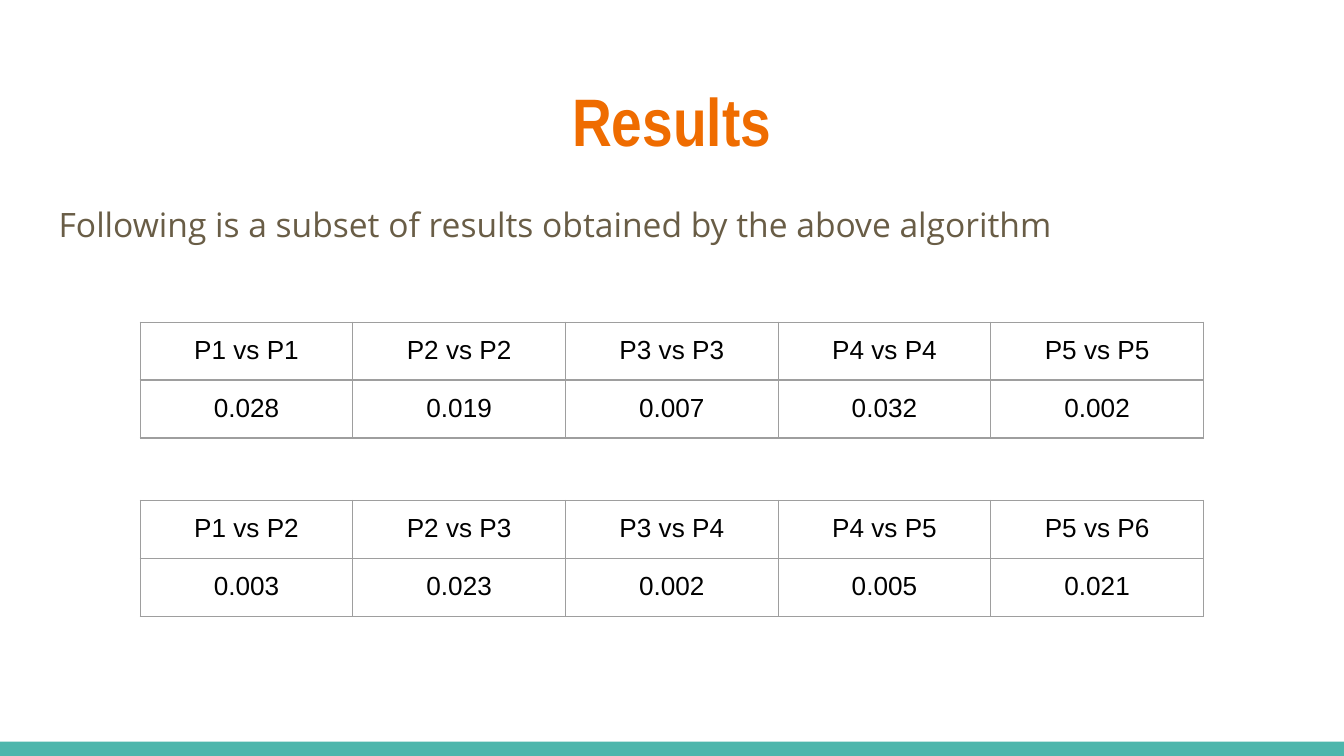
"""Build the Results slide with its two comparison tables."""
import pptx
import pptx.dml.color
import pptx.enum.shapes
import pptx.enum.text
import pptx.oxml
import pptx.oxml.ns
import pptx.util

Cm = pptx.util.Cm
Pt = pptx.util.Pt
COLORS = {
    "title": "EF6C00",
    "body": "695D46",
    "table": "000000",
    "border": "9E9E9E",
    "bar": "4DB6AC",
}
FORMATS = {
    "title": {"name": "Arial Narrow", "size": Pt(36), "bold": True},
    "body": {"name": "Open Sans", "size": Pt(18), "bold": False},
    "table": {"name": "Arial", "size": Pt(14), "bold": False},
}
MARGINS = ("margin_left", "margin_top", "margin_right", "margin_bottom")
MARGIN = Cm(0.25)
CENTER = pptx.enum.text.PP_ALIGN.CENTER
LEFT = pptx.enum.text.PP_ALIGN.LEFT
TABLES = [
    (6.09, [["P1 vs P1", "P2 vs P2", "P3 vs P3", "P4 vs P4", "P5 vs P5"],
            ["0.028", "0.019", "0.007", "0.032", "0.002"]]),
    (9.46, [["P1 vs P2", "P2 vs P3", "P3 vs P4", "P4 vs P5", "P5 vs P6"],
            ["0.003", "0.023", "0.002", "0.005", "0.021"]]),
]


def rgb(name):
    return pptx.dml.color.RGBColor.from_string(COLORS[name])


def write(holder, text, style, alignment):
    for margin in MARGINS:
        setattr(holder, margin, MARGIN)
    frame = getattr(holder, "text_frame", holder)
    paragraph = frame.paragraphs[0]
    paragraph.alignment = alignment
    run = paragraph.add_run()
    run.text = text
    for attribute, value in FORMATS[style].items():
        setattr(run.font, attribute, value)
    run.font.color.rgb = rgb(style)
    return paragraph


def add_text(slide, top, height, text, style, alignment):
    shape = slide.shapes.add_textbox(Cm(0.86), Cm(top), Cm(23.67), Cm(height))
    shape.text_frame.word_wrap = True
    return write(shape.text_frame, text, style, alignment)


def add_bar(slide):
    shape = slide.shapes.add_shape(
        pptx.enum.shapes.MSO_SHAPE.RECTANGLE, 0, Cm(14.02), Cm(25.4), Cm(0.27))
    shape.shadow.inherit = False
    shape.fill.solid()
    shape.fill.fore_color.rgb = rgb("bar")
    shape.line.fill.background()


def add_borders(cell):
    properties = cell._tc.get_or_add_tcPr()
    namespace = pptx.oxml.ns.nsdecls("a")
    for index, side in enumerate("LRTB"):
        properties.insert(index, pptx.oxml.parse_xml(
            f'<a:ln{side} {namespace} w="{Pt(0.75)}"><a:solidFill>'
            f'<a:srgbClr val="{COLORS["border"]}"/></a:solidFill></a:ln{side}>'))


def add_table(slide, top, rows):
    column_count = len(rows[0])
    column_width, row_height = Cm(4.02), Cm(1.06)
    table = slide.shapes.add_table(
        len(rows), column_count, Cm(2.65), Cm(top),
        column_width * column_count, row_height * len(rows)).table
    table.first_row = False
    table.horz_banding = False
    for row_index, texts in enumerate(rows):
        for column_index, text in enumerate(texts):
            cell = table.cell(row_index, column_index)
            write(cell, text, "table", CENTER)
            cell.fill.background()
            add_borders(cell)


def main():
    presentation = pptx.Presentation()
    presentation.slide_width = Cm(25.4)
    presentation.slide_height = Cm(14.29)
    slide = presentation.slides.add_slide(presentation.slide_layouts[6])
    add_bar(slide)
    add_text(slide, 1.25, 1.95, "Results", "title", CENTER)
    paragraph = add_text(
        slide, 3.5, 9.17,
        "Following is a subset of results obtained by the above algorithm",
        "body", LEFT)
    paragraph.line_spacing = 1.15
    paragraph.space_after = Pt(10)
    for top, rows in TABLES:
        add_table(slide, top, rows)
    presentation.save("out.pptx")


if __name__ == "__main__":
    main()
